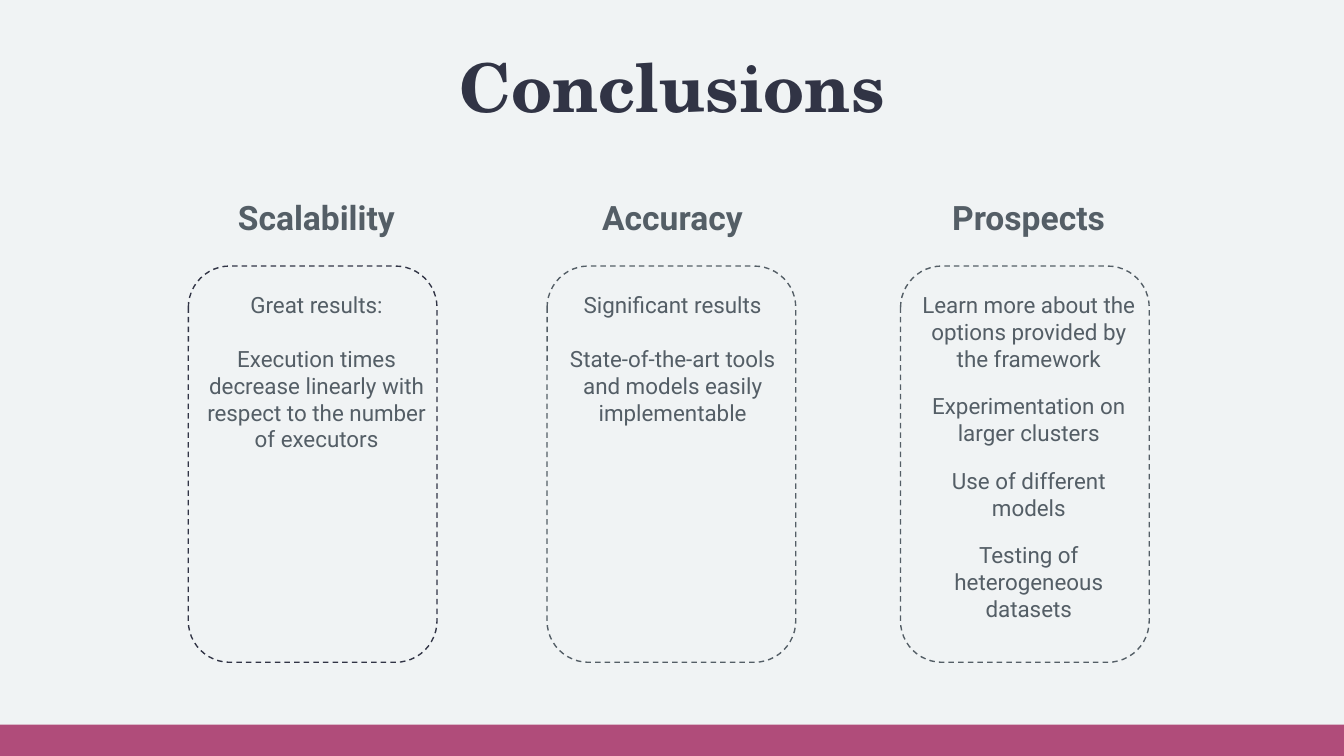
from pptx import Presentation
from pptx.dml.color import RGBColor
from pptx.enum import dml, shapes, text
from pptx.util import Cm, Pt

PAPER, INK, GREY, PINK = "F0F3F4", "313445", "545E66", "B04C7A"
FIRST_LEFT, PITCH = 3.56, 6.73

COLUMNS = [
    ("Scalability", 3.56, INK, 14.25, [
        "Great results:",
        "Execution times decrease linearly with respect to the number of executors",
    ]),
    ("Accuracy", 10.34, GREY, 14.25, [
        "Significant results",
        "State-of-the-art tools and models easily implementable",
    ]),
    ("Prospects", 17.02, GREY, 11, [
        "Learn more about the options provided by the framework",
        "Experimentation on larger clusters",
        "Use of different models",
        "Testing of heterogeneous datasets",
    ]),
]


def paint(color_format, color):
    """Set a fill, line or font colour from a hex string."""
    color_format.rgb = RGBColor.from_string(color)


def add_block(slide, kind, box, fill):
    """Add a filled shape without outline or shadow."""
    block = slide.shapes.add_shape(kind, *map(Cm, box))
    block.shadow.inherit = False
    block.fill.solid()
    paint(block.fill.fore_color, fill)
    block.line.fill.background()
    return block


def add_card(slide, box, outline):
    """Add a rounded card with a dashed outline."""
    card = add_block(slide, shapes.MSO_SHAPE.ROUNDED_RECTANGLE, box, PAPER)
    card.adjustments[0] = 0.167
    card.line.fill.solid()
    paint(card.line.color, outline)
    card.line.width = Pt(0.75)
    card.line.dash_style = dml.MSO_LINE.DASH


def add_text(slide, box, lines, size, color, font="Roboto", bold=False, gap=0):
    """Add centred paragraphs separated by a gap in points."""
    frame = slide.shapes.add_textbox(*map(Cm, box)).text_frame
    frame.word_wrap = True
    frame.margin_left = frame.margin_right = Cm(0.25)
    frame.margin_top = frame.margin_bottom = Cm(0.25)
    frame.text = "\n".join(lines)
    for index, paragraph in enumerate(frame.paragraphs):
        paragraph.alignment = text.PP_ALIGN.CENTER
        paragraph.space_before = Pt(gap if index else 0)
        for run in paragraph.runs:
            run.font.name = font
            run.font.size = Pt(size)
            run.font.bold = bold
            paint(run.font.color, color)


def add_column(slide, index, heading, card_left, outline, gap, points):
    """Add a heading above a card with its points."""
    left = FIRST_LEFT + index * PITCH
    add_card(slide, (card_left, 5.03, 4.7, 7.49), outline)
    add_text(slide, (left, 5.26, 4.85, 7.26), points, 12, GREY, gap=gap)
    add_text(slide, (left - 0.3, 3.48, 5.44, 1.4), [heading], 18, GREY, bold=True)


def main():
    """Build the conclusions slide."""
    deck = Presentation()
    deck.slide_width, deck.slide_height = Cm(25.4), Cm(14.29)
    slide = deck.slides.add_slide(deck.slide_layouts[6])
    slide.background.fill.solid()
    paint(slide.background.fill.fore_color, PAPER)

    add_block(slide, shapes.MSO_SHAPE.RECTANGLE, (0, 13.7, 25.4, 0.59), PINK)
    add_text(slide, (1.98, 0.61, 21.44, 1.7), ["Conclusions"], 36, INK,
             font="TeX Gyre Schola", bold=True)
    for index, column in enumerate(COLUMNS):
        add_column(slide, index, *column)
    deck.save("out.pptx")


if __name__ == "__main__":
    main()
